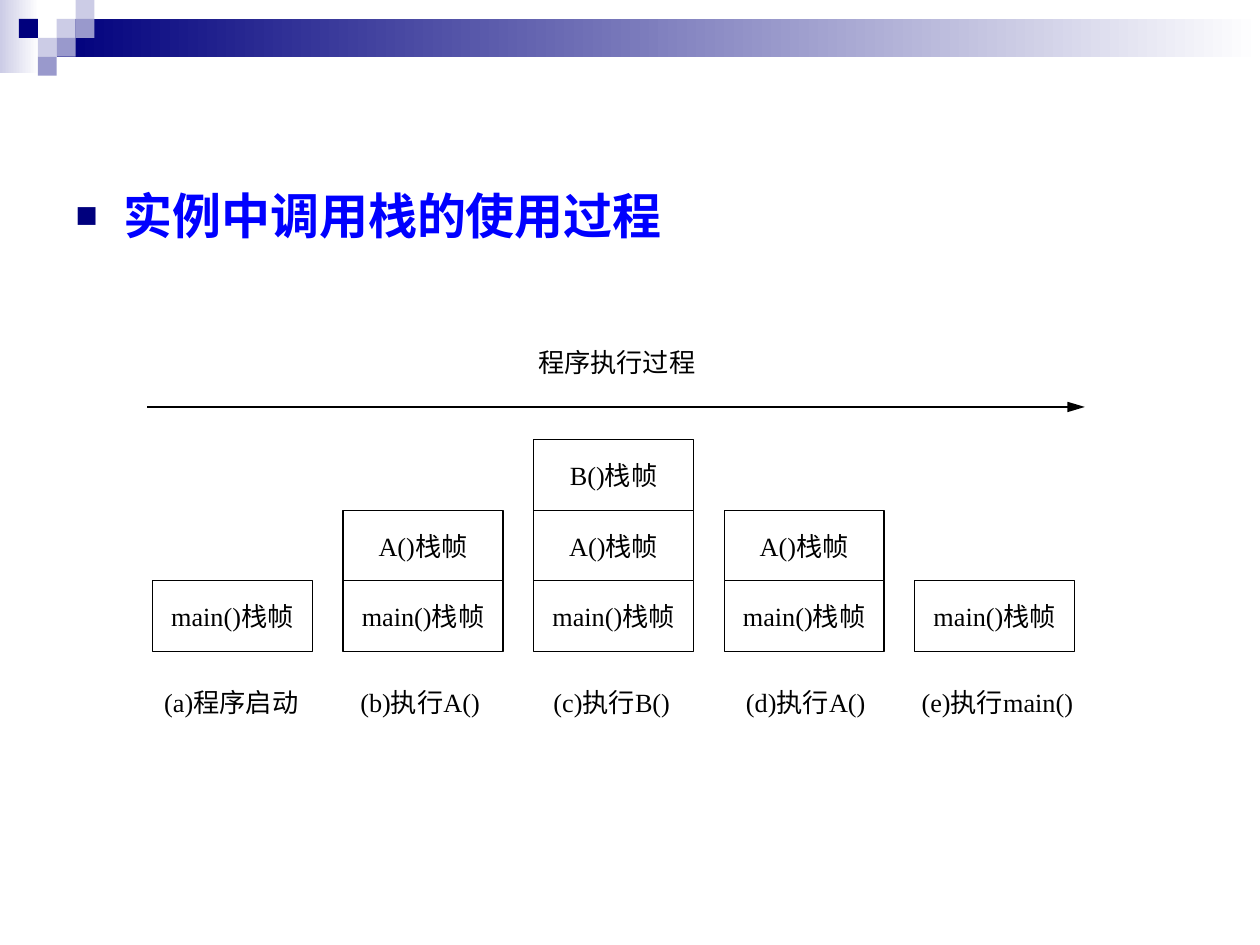
"""Build a slide showing how the call stack grows and shrinks as a program runs."""
from lxml import etree
from pptx import Presentation
from pptx.dml.color import RGBColor
from pptx.enum.shapes import MSO_CONNECTOR, MSO_SHAPE
from pptx.enum.text import MSO_ANCHOR, MSO_AUTO_SIZE, PP_ALIGN
from pptx.oxml.ns import qn
from pptx.util import Inches, Pt

RECTANGLE = MSO_SHAPE.RECTANGLE
STRAIGHT = MSO_CONNECTOR.STRAIGHT
CENTER = PP_ALIGN.CENTER
TOP, MIDDLE = MSO_ANCHOR.TOP, MSO_ANCHOR.MIDDLE
NO_AUTOFIT = MSO_AUTO_SIZE.NONE

COLORS = {
    "navy": "00007D",
    "lavender": "CCCCE6",
    "periwinkle": "9999CC",
    "white": "FFFFFF",
    "black": "000000",
    "heading": "0000FF",
}
RGB = {name: RGBColor.from_string(value) for name, value in COLORS.items()}
LABEL_FONT = {"name": "Times New Roman", "size": Pt(15)}
HEADING_FONT = {"name": "Arial", "size": Pt(28), "bold": True}


def add_box(left, top, width, height):
    box = slide.shapes.add_shape(
        RECTANGLE, Inches(left), Inches(top), Inches(width), Inches(height))
    box.shadow.inherit = False
    box.line.fill.background()
    return box


def write_label(frame, text, anchor, font_values, color, align):
    frame.word_wrap = True
    frame.auto_size = NO_AUTOFIT
    frame.vertical_anchor = anchor
    paragraph = frame.paragraphs[0]
    paragraph.text = text
    paragraph.alignment = align
    for attribute, value in font_values.items():
        setattr(paragraph.runs[0].font, attribute, value)
    paragraph.runs[0].font.color.rgb = RGB[color]


prs = Presentation()
prs.slide_width, prs.slide_height = Inches(10), Inches(7.5)
slide = prs.slides.add_slide(prs.slide_layouts[1])
title = slide.shapes.title
title.element.getparent().remove(title.element)

for bounds, start in [((0, 0, 0.31, 0.58), "lavender"), ((0.45, 0.15, 9.55, 0.3), "navy")]:
    band = add_box(*bounds)
    band.fill.gradient()
    band.fill.gradient_angle = 0
    for stop, color, position in zip(band.fill.gradient_stops, (start, "white"), (0, 1)):
        stop.color.rgb = RGB[color]
        stop.position = position

TILE = 0.15
for column, row, color in [
    (3, 1, "lavender"), (4, 0, "lavender"), (4, 1, "periwinkle"), (2, 2, "lavender"),
    (1, 1, "navy"), (3, 2, "periwinkle"), (2, 3, "periwinkle"),
]:
    tile = add_box(column * TILE, row * TILE, TILE, TILE)
    tile.fill.solid()
    tile.fill.fore_color.rgb = RGB[color]

heading = slide.placeholders[1]
heading.left, heading.top = Inches(0.5), Inches(1.42)
heading.width, heading.height = Inches(9), Inches(5.33)
heading_format = heading.text_frame.paragraphs[0]._p.get_or_add_pPr()
heading_format.set("marL", str(Inches(0.38)))
heading_format.set("indent", str(-Inches(0.38)))
bullet_color = etree.SubElement(heading_format, qn("a:buClr"))
etree.SubElement(bullet_color, qn("a:srgbClr"), val=COLORS["navy"])
etree.SubElement(heading_format, qn("a:buSzPct"), val="75000")
etree.SubElement(heading_format, qn("a:buFont"), typeface="Arial")
etree.SubElement(heading_format, qn("a:buChar"), char="■")
write_label(heading.text_frame, "实例中调用栈的使用过程", TOP, HEADING_FONT, "heading", None)
heading.text_frame.paragraphs[0].space_before = Pt(0)

FRAME_LEFT, FRAME_PITCH = 1.21, 1.5125
FRAME_WIDTH, FRAME_HEIGHT, STACK_BOTTOM = 1.27, 0.56, 5.17
CALLS = ["main()", "A()", "B()"]
STAGES = [
    ("(a)程序启动", 1, 1.19, 1.29),
    ("(b)执行A()", 2, 2.7, 1.27),
    ("(c)执行B()", 3, 4.22, 1.27),
    ("(d)执行A()", 2, 5.76, 1.27),
    ("(e)执行main()", 1, 7.19, 1.45),
]
for stage, (caption, depth, caption_left, caption_width) in enumerate(STAGES):
    for level, call in enumerate(CALLS[:depth], start=1):
        stack_frame = add_box(FRAME_LEFT + stage * FRAME_PITCH,
                              STACK_BOTTOM - level * FRAME_HEIGHT, FRAME_WIDTH, FRAME_HEIGHT)
        stack_frame.fill.solid()
        stack_frame.fill.fore_color.rgb = RGB["white"]
        stack_frame.line.color.rgb = RGB["black"]
        stack_frame.line.width = Pt(0.75)
        write_label(stack_frame.text_frame, call + "栈帧", MIDDLE, LABEL_FONT, "black", CENTER)

captions = [(caption, left, 5.4, width) for caption, _, left, width in STAGES]
for text, left, top, width in captions + [("程序执行过程", 4.17, 2.7, 1.45)]:
    label = slide.shapes.add_textbox(Inches(left), Inches(top), Inches(width), Inches(0.66))
    write_label(label.text_frame, text, TOP, LABEL_FONT, "black", CENTER)

timeline = slide.shapes.add_connector(
    STRAIGHT, Inches(1.17), Inches(3.23), Inches(8.61), Inches(3.23))
timeline.line.color.rgb = RGB["black"]
timeline.line.width = Pt(1)
etree.SubElement(timeline.line._get_or_add_ln(), qn("a:tailEnd"), type="triangle", w="med", len="lg")
etree.SubElement(timeline._element.spPr, qn("a:effectLst"))

prs.save("out.pptx")
